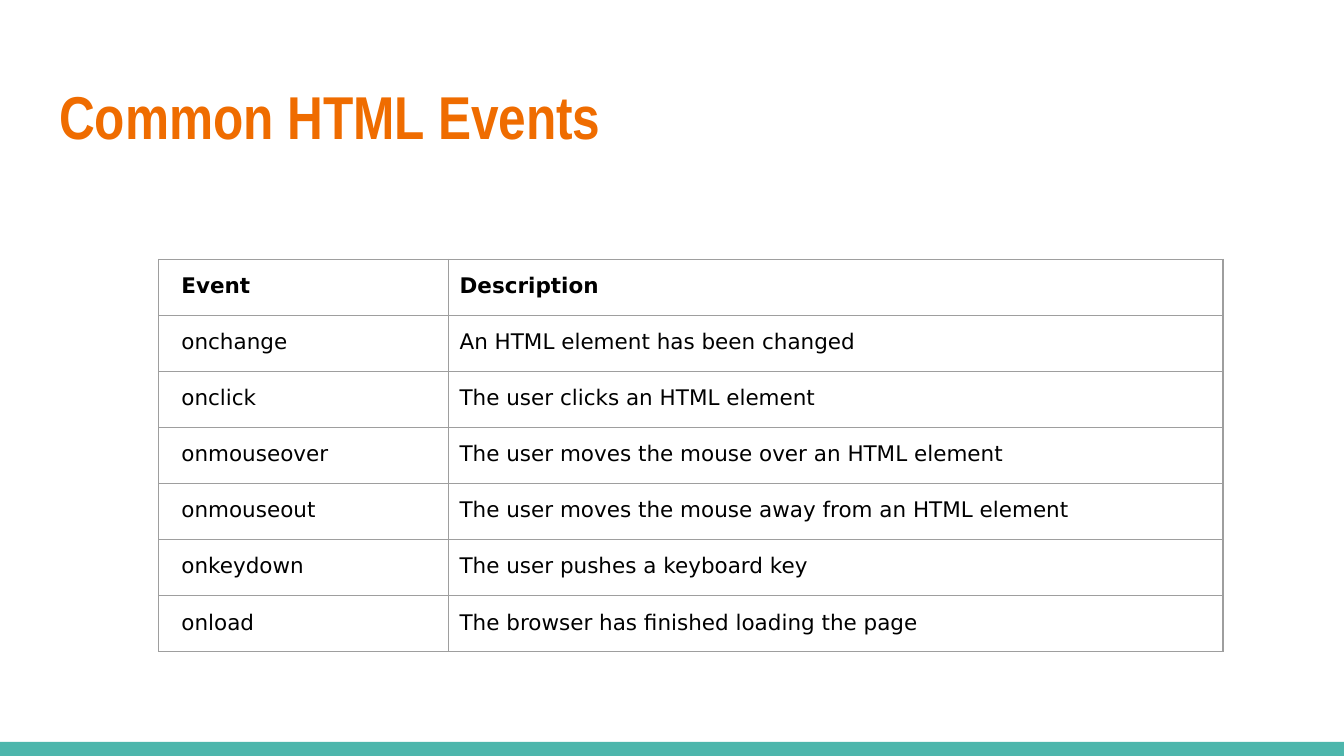
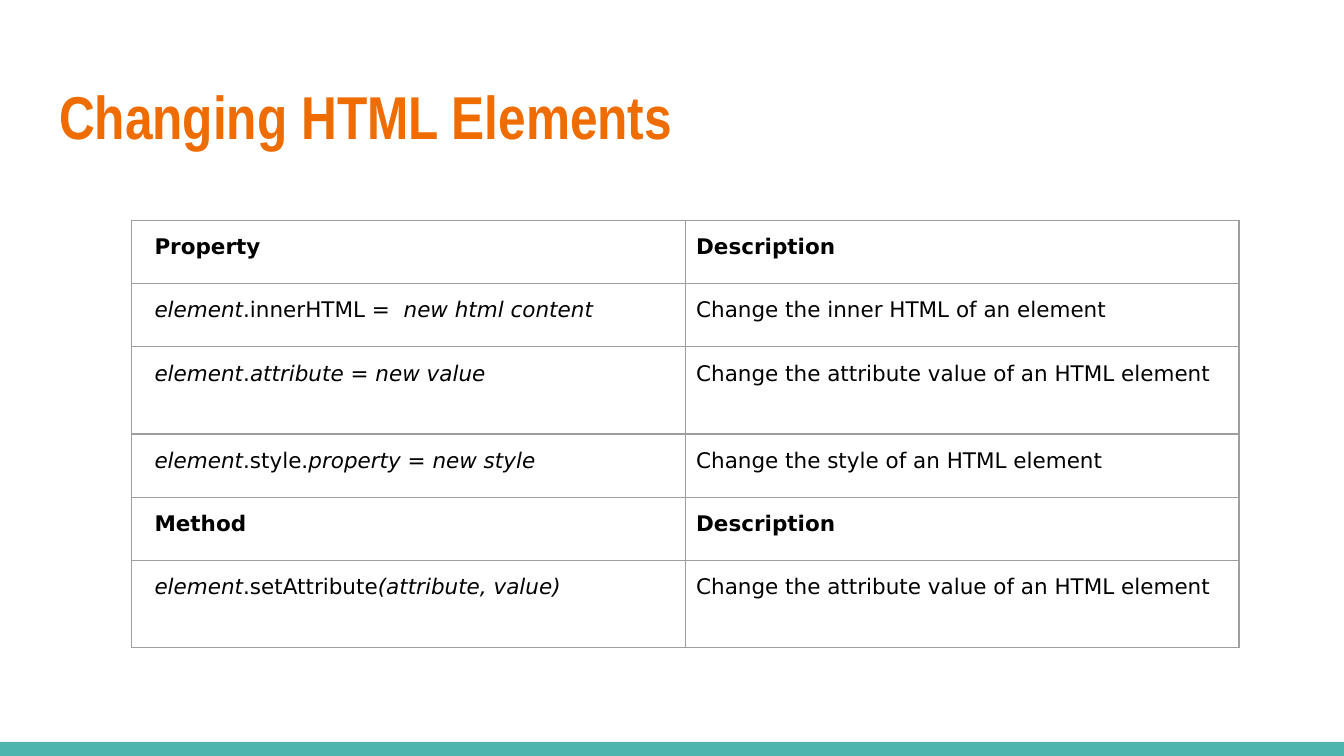
"""Builds two slides of reference tables on HTML events and element changes."""
from dataclasses import dataclass

from lxml import etree
from pptx import Presentation
from pptx.dml.color import RGBColor
from pptx.enum import shapes, text
from pptx.oxml import ns
from pptx.util import Inches, Pt


@dataclass(frozen=True)
class Theme:
    title_color: RGBColor = RGBColor.from_string("EF6C00")
    band_color: RGBColor = RGBColor.from_string("4DB6AC")
    text_color: RGBColor = RGBColor.from_string("000000")
    rule_color: str = "9E9E9E"
    rule_width: float = 0.75
    title_font: str = "Arial Narrow"
    table_font: str = "DejaVu Sans"
    title_size: float = 32.4
    table_size: float = 11.5


theme = Theme()


def add_run(paragraph, words, font_name, size, color, bold, italic=False):
    run = paragraph.add_run()
    run.text = words
    run.font.name = font_name
    run.font.size = Pt(size)
    run.font.color.rgb = color
    run.font.bold = bold
    run.font.italic = italic


def rule_cell(cell):
    properties = cell._tc.get_or_add_tcPr()
    for side in ("a:lnL", "a:lnR", "a:lnT", "a:lnB"):
        rule = etree.SubElement(properties, ns.qn(side), w=str(int(Pt(theme.rule_width))))
        fill = etree.SubElement(rule, ns.qn("a:solidFill"))
        etree.SubElement(fill, ns.qn("a:srgbClr"), val=theme.rule_color)


HEADING = "Description"
ITALIC_MARK = "*"

topics = [
    {
        "title": "Common HTML Events",
        "corner": (1.18, 1.93),
        "columns": (2.16, 5.76),
        "heights": [2.92 / 7] * 7,
        "rows": [
            ("Event", HEADING),
            ("onchange", "An HTML element has been changed"),
            ("onclick", "The user clicks an HTML element"),
            ("onmouseover", "The user moves the mouse over an HTML element"),
            ("onmouseout", "The user moves the mouse away from an HTML element"),
            ("onkeydown", "The user pushes a keyboard key"),
            ("onload", "The browser has finished loading the page"),
        ],
    },
    {
        "title": "Changing HTML Elements",
        "corner": (0.98, 1.64),
        "columns": (4.12, 4.12),
        "heights": [0.47, 0.47, 0.65] * 2,
        "rows": [
            ("Property", HEADING),
            ("*element*.innerHTML =  *new html content*", "Change the inner HTML of an element"),
            ("*element*.*attribute = new value*", "Change the attribute value of an HTML element"),
            ("*element*.style.*property = new style*", "Change the style of an HTML element"),
            ("Method", HEADING),
            ("*element*.setAttribute*(attribute, value)*", "Change the attribute value of an HTML element"),
        ],
    },
]

deck = Presentation()
deck.slide_width = Inches(10)
deck.slide_height = deck.slide_width * 9 // 16
layout = deck.slide_layouts[5]

for topic in topics:
    slide = deck.slides.add_slide(layout)

    if topic is topics[0]:
        band = slide.shapes.add_shape(
            shapes.MSO_SHAPE.RECTANGLE, 0, Inches(5.52), deck.slide_width, Inches(0.11))
        band.shadow.inherit = False
        band.fill.solid()
        band.fill.fore_color.rgb = theme.band_color
        band.line.fill.background()
        layout.shapes.element.append(band.element)

    heading = slide.shapes.title
    heading.left, heading.top = Inches(0.34), Inches(0.49)
    heading.width, heading.height = Inches(9.32), Inches(0.77)
    frame = heading.text_frame
    frame.margin_left = frame.margin_right = Inches(0.1)
    frame.margin_top = frame.margin_bottom = Inches(0.1)
    frame.word_wrap = True
    frame.auto_size = text.MSO_AUTO_SIZE.NONE
    frame.vertical_anchor = text.MSO_ANCHOR.TOP
    frame.paragraphs[0].alignment = text.PP_ALIGN.LEFT
    add_run(frame.paragraphs[0], topic["title"], theme.title_font,
            theme.title_size, theme.title_color, True)

    left, top = topic["corner"]
    reference = slide.shapes.add_table(
        len(topic["rows"]), len(topic["columns"]), Inches(left), Inches(top),
        Inches(sum(topic["columns"])), Inches(sum(topic["heights"]))).table
    reference.first_row = reference.horz_banding = False
    for column, width in zip(reference.columns, topic["columns"]):
        column.width = Inches(width)

    for row, height, entries in zip(reference.rows, topic["heights"], topic["rows"]):
        row.height = Inches(height)
        for index, (cell, entry) in enumerate(zip(row.cells, entries)):
            rule_cell(cell)
            cell.fill.background()
            cell.margin_left = Inches(0.08 if index else 0.17)
            cell.margin_right = cell.margin_top = cell.margin_bottom = Inches(0.08)
            cell.vertical_anchor = text.MSO_ANCHOR.TOP
            paragraph = cell.text_frame.paragraphs[0]
            paragraph.line_spacing = 1.15
            paragraph.space_before = paragraph.space_after = Pt(15)
            for part, words in enumerate(entry.split(ITALIC_MARK)):
                if words:
                    add_run(paragraph, words, theme.table_font, theme.table_size,
                            theme.text_color, HEADING in entries, part % 2 == 1)

deck.save("out.pptx")
